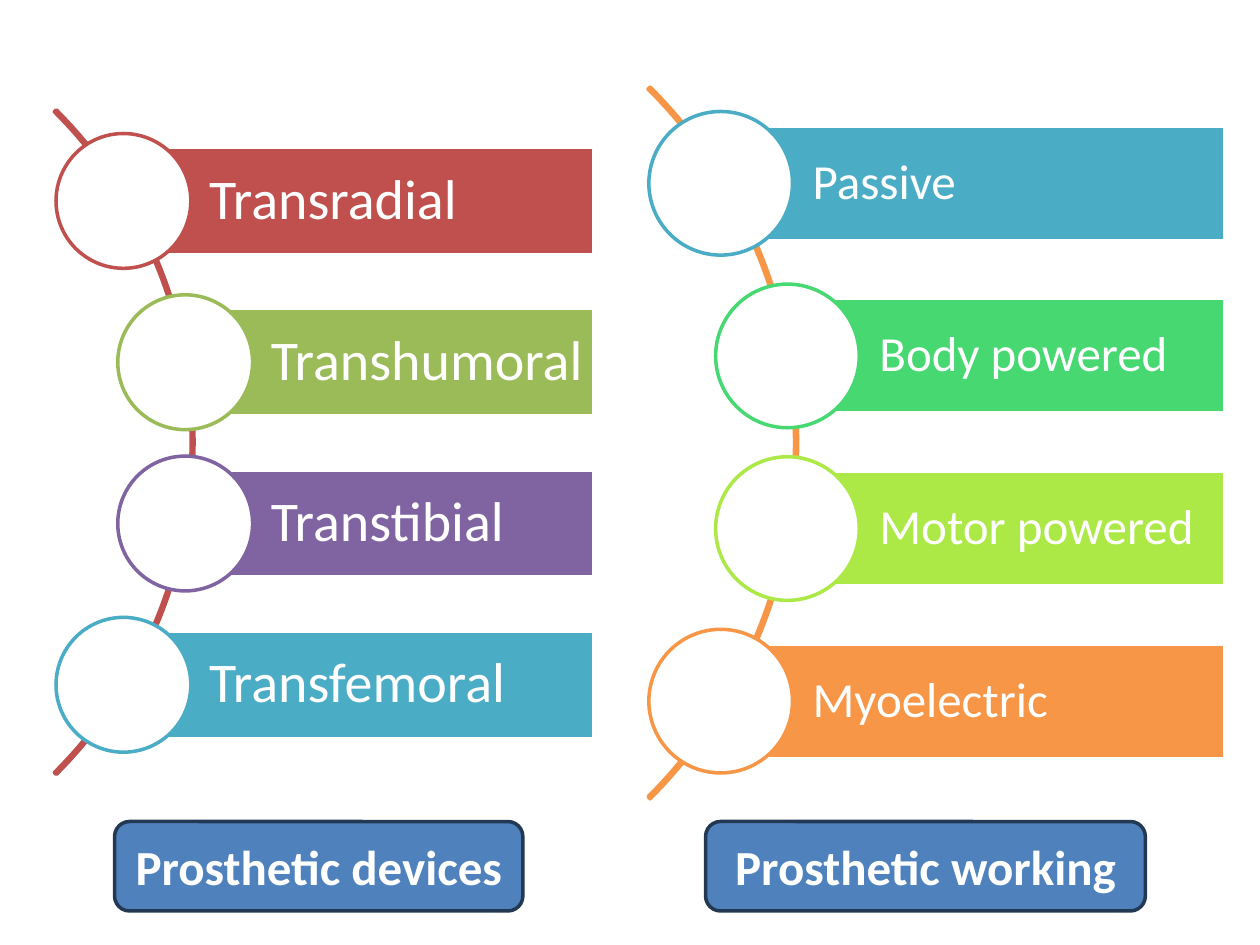
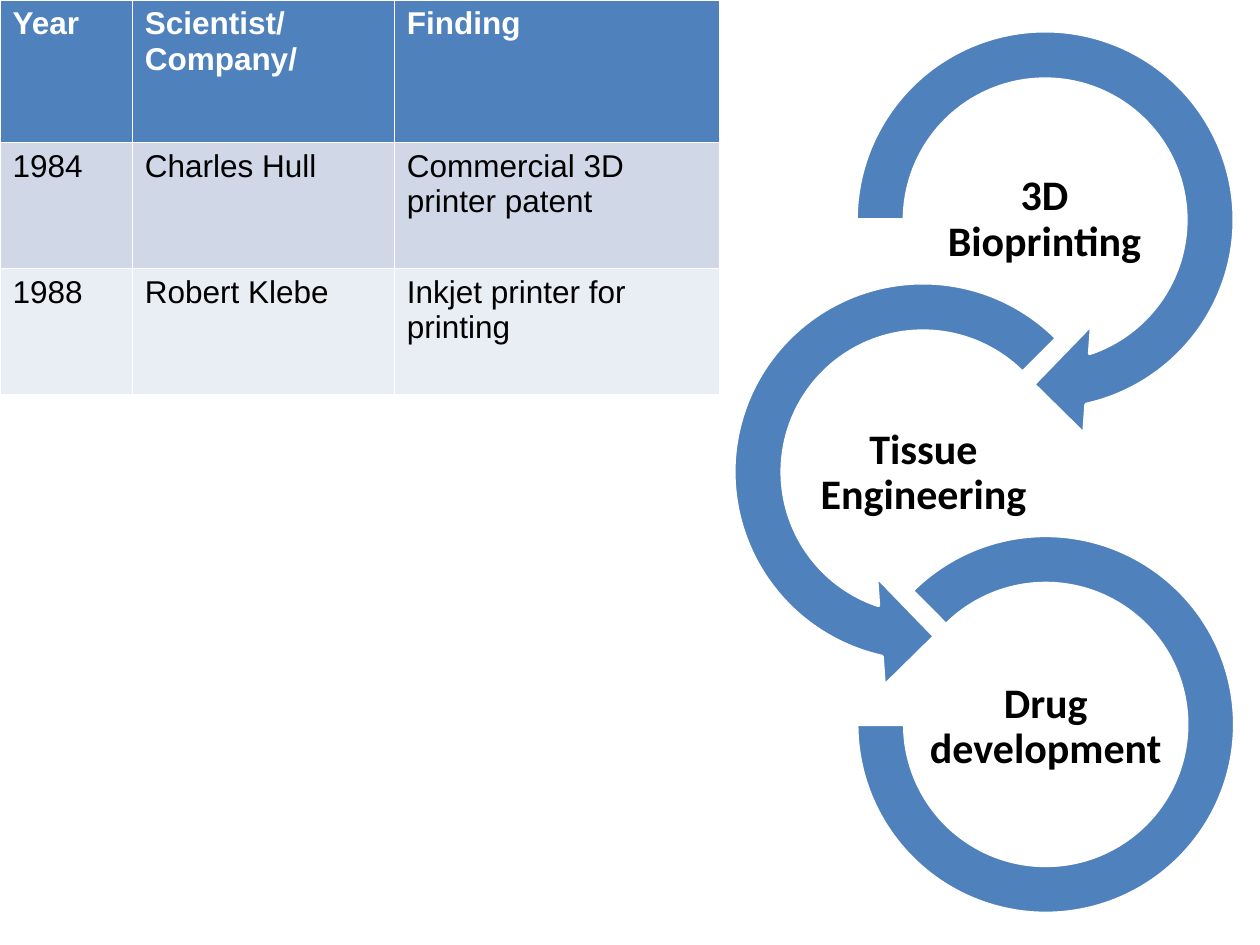
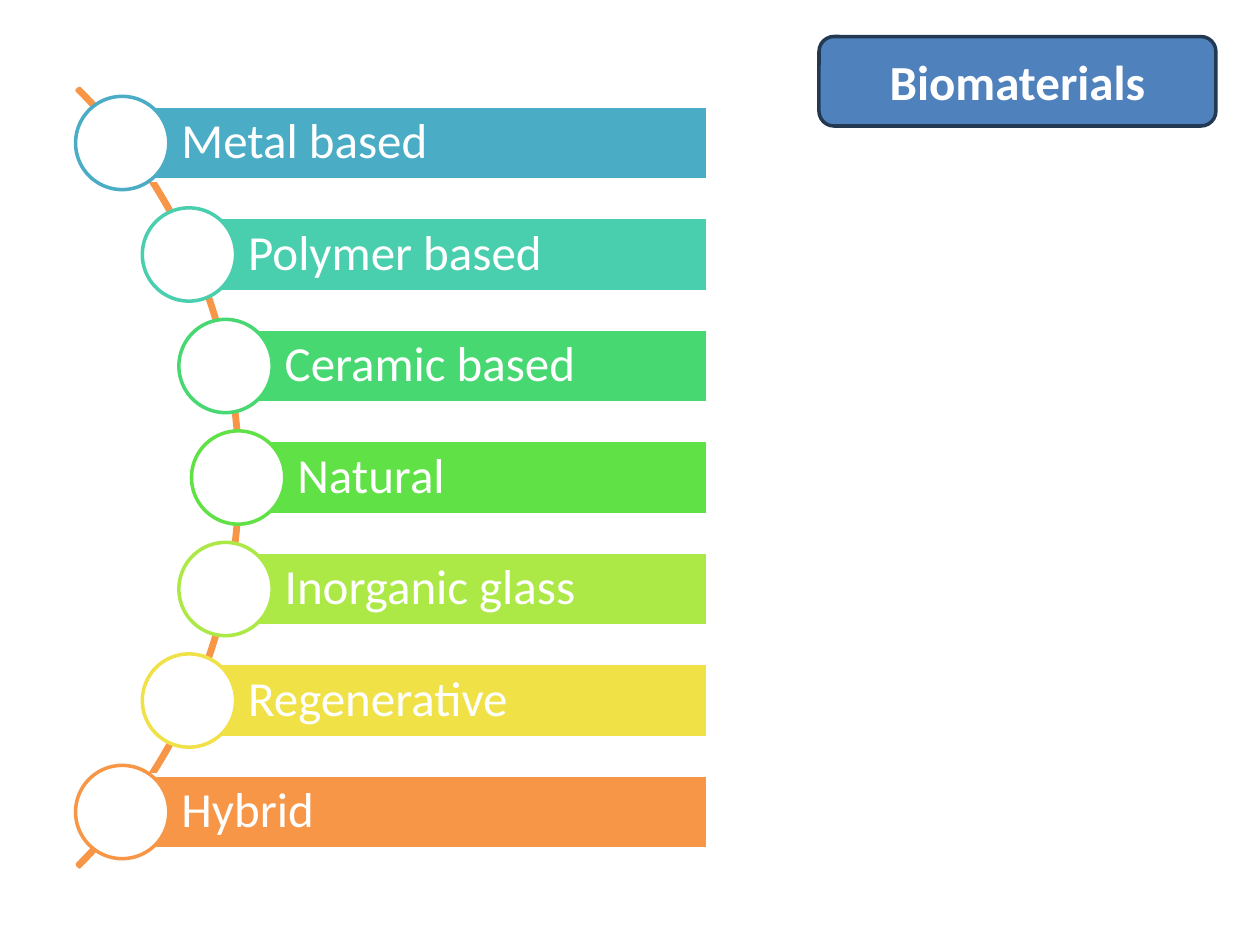
from pptx import Presentation
from pptx.dml.color import RGBColor
from pptx.enum import shapes, text
from pptx.util import Inches, Pt

COLORS = {
    "white": "FFFFFF", "black": "000000", "blue": "4F81BD", "navy": "233953",
    "red": "C0504D", "olive": "9BBB59", "purple": "8064A2", "aqua": "4BACC6",
    "teal": "49CFAE", "green": "47D872", "leaf": "60E146", "lime": "ACE946",
    "yellow": "F0E146", "orange": "F79646", "band": "D0D8E8", "pale": "E9EDF4",
}
SHAPE = shapes.MSO_SHAPE


def add_shape(slide, kind, box, fill, line, adjustments=()):
    """Add a flat shape with a 2 pt outline; fill and line may be None."""
    shape = slide.shapes.add_shape(kind, *[Inches(value) for value in box])
    shape.shadow.inherit = False
    for index, value in enumerate(adjustments):
        shape.adjustments[index] = value
    if fill:
        shape.fill.solid()
        shape.fill.fore_color.rgb = RGBColor.from_string(COLORS[fill])
    else:
        shape.fill.background()
    shape.line.color.rgb = RGBColor.from_string(COLORS[line])
    shape.line.width = Pt(2)
    return shape


def set_text(frame, words, size, color="white", bold=False, font="Calibri",
             align=text.PP_ALIGN.LEFT, spacing=None):
    frame.text = words
    frame.word_wrap = True
    for paragraph in frame.paragraphs:
        paragraph.alignment = align
        paragraph.line_spacing = spacing
        for run in paragraph.runs:
            run.font.name = font
            run.font.size = Pt(size)
            run.font.bold = bold
            run.font.color.rgb = RGBColor.from_string(COLORS[color])


presentation = Presentation()
presentation.slide_width = Inches(10)
presentation.slide_height = Inches(7.5)
devices, bioprinting, materials = [
    presentation.slides.add_slide(presentation.slide_layouts[6]) for _ in range(3)
]

# Curved lists: bars whose left ends carry circles along an arc
curved_lists = [
    dict(slide=devices, arc=(-5.92, -0.22, 7.46), arc_color="red", top=1.17, pitch=1.28,
         height=0.85, right=4.71, circle=1.07, inset=0.68, size=32, bars=[
             ("Transradial", 0.98, "red"), ("Transhumoral", 1.47, "olive"),
             ("Transtibial", 1.47, "purple"), ("Transfemoral", 0.98, "aqua")]),
    dict(slide=devices, arc=(-1.66, -0.48, 7.99), arc_color="orange", top=1, pitch=1.37,
         height=0.91, right=9.72, circle=1.14, inset=0.73, size=28, bars=[
             ("Passive", 5.72, "aqua"), ("Body powered", 6.25, "green"),
             ("Motor powered", 6.25, "lime"), ("Myoelectric", 5.72, "orange")]),
    dict(slide=materials, arc=(-6.83, -0.58, 8.74), arc_color="orange", top=0.84,
         pitch=5.31 / 6, height=0.59, right=5.62, circle=0.74, inset=0.47, size=28, bars=[
             ("Metal based", 0.97, "aqua"), ("Polymer based", 1.5, "teal"),
             ("Ceramic based", 1.79, "green"), ("Natural", 1.89, "leaf"),
             ("Inorganic glass", 1.79, "lime"), ("Regenerative", 1.5, "yellow"),
             ("Hybrid", 0.97, "orange")]),
]
for item in curved_lists:
    slide, height, circle = item["slide"], item["height"], item["circle"]
    arc_left, arc_top, diameter = item["arc"]
    add_shape(slide, SHAPE.BLOCK_ARC, (arc_left, arc_top, diameter, diameter),
              None, item["arc_color"], (189, 27, 0.003))
    for index, (label, left, color) in enumerate(item["bars"]):
        top = item["top"] + index * item["pitch"]
        bar = add_shape(slide, SHAPE.RECTANGLE,
                        (left, top, item["right"] - left, height), color, "white")
        frame = bar.text_frame
        frame.margin_left = Inches(item["inset"])
        frame.margin_right = frame.margin_top = frame.margin_bottom = Inches(0.08)
        frame.vertical_anchor = text.MSO_ANCHOR.MIDDLE
        set_text(frame, label, item["size"], spacing=0.9)
        add_shape(slide, SHAPE.OVAL,
                  (left - circle / 2, top + (height - circle) / 2, circle, circle),
                  "white", color)

# Rounded captions
for slide, label, left, top, width in [
    (devices, "Prosthetic devices", 0.91, 6.52, 3.24),
    (devices, "Prosthetic working", 5.6, 6.52, 3.49),
    (materials, "Biomaterials", 6.5, 0.29, 3.15),
]:
    caption = add_shape(slide, SHAPE.ROUNDED_RECTANGLE, (left, top, width, 0.71),
                        "blue", "navy")
    caption.text_frame.vertical_anchor = text.MSO_ANCHOR.MIDDLE
    set_text(caption.text_frame, label, 28, bold=True, align=text.PP_ALIGN.CENTER)

# Circular process
steps = [
    ("3D Bioprinting", SHAPE.CIRCULAR_ARROW, (6.55, 0, 3.49, 3.49),
     (0.11, 11.423, 45, 108, 0.125), 7.32, 1.26),
    ("Tissue Engineering", SHAPE.LEFT_CIRCULAR_ARROW, (5.58, 2, 3.49, 3.49),
     (0.11, 11.423, 63, 189, 0.125), 6.36, 3.27),
    ("Drug development", SHAPE.BLOCK_ARC, (6.8, 4.25, 3, 3),
     (135, 108, 0.127), 7.33, 5.29),
]
for label, kind, box, adjustments, left, top in steps:
    add_shape(bioprinting, kind, box, "blue", "white", adjustments)
    frame = bioprinting.shapes.add_textbox(
        Inches(left), Inches(top), Inches(1.94), Inches(0.97)).text_frame
    frame.margin_left = frame.margin_right = Inches(0.02)
    frame.margin_top = frame.margin_bottom = Inches(0.02)
    frame.vertical_anchor = text.MSO_ANCHOR.MIDDLE
    set_text(frame, label, 24, "black", True, align=text.PP_ALIGN.CENTER, spacing=0.9)

# History table
history = [
    ("Year", "Scientist/\nCompany/", "Finding"),
    ("1984", "Charles Hull", "Commercial 3D printer patent"),
    ("1988", "Robert Klebe", "Inkjet printer for printing"),
]
table = bioprinting.shapes.add_table(
    3, 3, Inches(0), Inches(0), Inches(5.71), Inches(3.13)).table
for column, width in zip(table.columns, (1.05, 2.08, 2.58)):
    column.width = Inches(width)
for row, height, values, fill in zip(table.rows, (1.13, 1, 1), history,
                                     ("blue", "band", "pale")):
    row.height = Inches(height)
    header = fill == "blue"
    for cell, value in zip(row.cells, values):
        cell.fill.solid()
        cell.fill.fore_color.rgb = RGBColor.from_string(COLORS[fill])
        set_text(cell.text_frame, value, 18, "white" if header else "black",
                 header, "Arial")

presentation.save("out.pptx")
